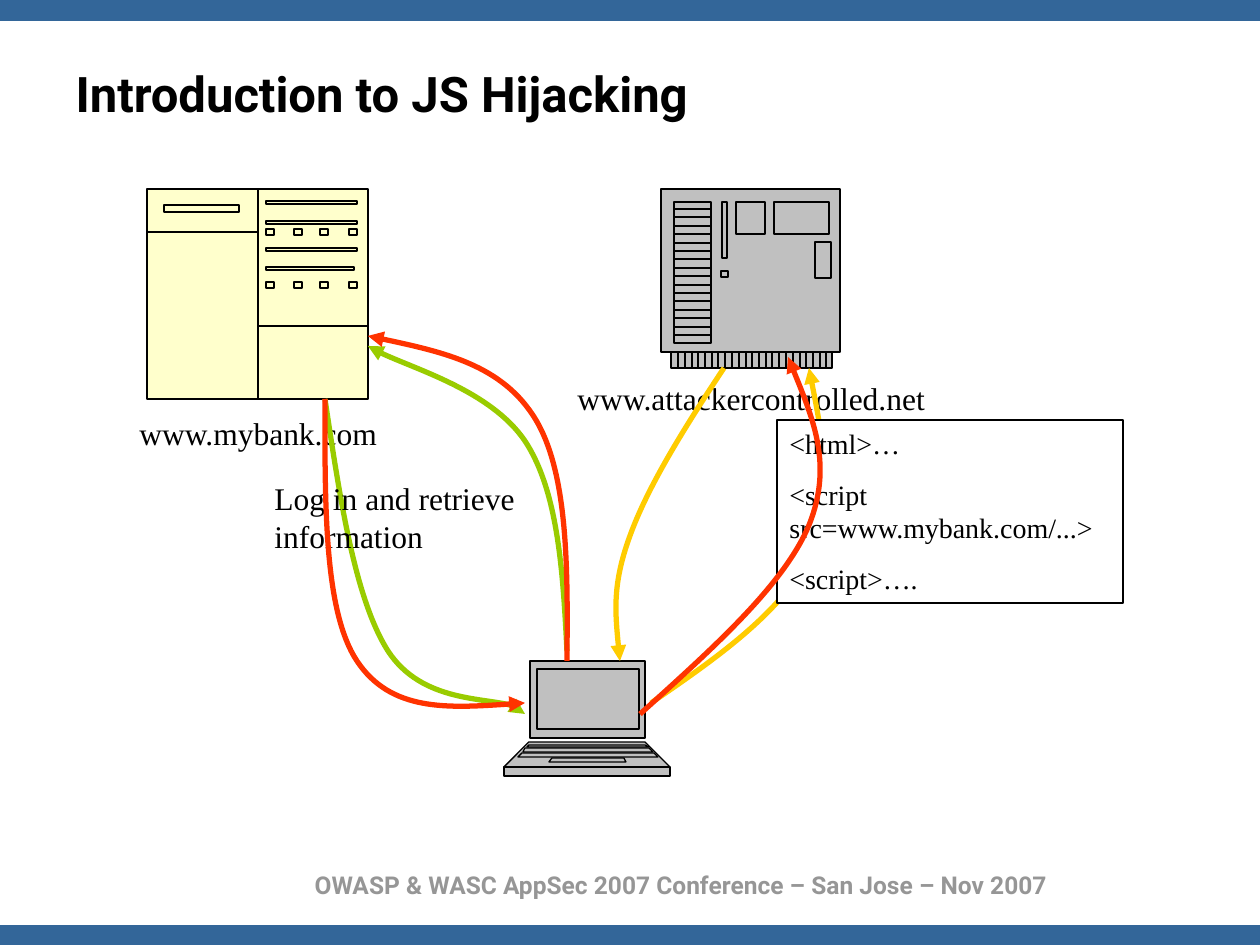
from lxml import etree
from pptx import Presentation
from pptx import util as u
from pptx.dml.color import RGBColor
from pptx.enum import shapes, text
from pptx.oxml.ns import qn

PX = 914400 / 126
COLORS = {
    "bar": "336699", "footer": "969696", "black": "000000", "white": "FFFFFF",
    "gray": "C0C0C0", "cream": "FFFFCC",
    "green": "99CC00", "yellow": "FFCC00", "red": "FF3300",
}
SERIF, SANS = "Times New Roman", "Roboto"

# Content: text and its place (left, top, width, height)
TITLE = ("Introduction to JS Hijacking", (63, 38, 1134, 110))
FOOTER = ("OWASP & WASC AppSec 2007 Conference – San Jose – Nov 2007", (242, 864, 878, 43))
BARS = [(0, 0, 1260, 21), (0, 925, 1260, 21)]
LABELS = [
    ("www.mybank.com", (127, 408, 300, 48)),
    ("www.attackercontrolled.net", (565, 373, 420, 48)),
]
LOGIN = ("Log in and retrieve information", (262, 473, 284, 88))
CODE = (["<html>…", "<script src=www.mybank.com/...>", "<script>…."], (777, 420, 346, 183))

# Flows: start point, then two cubic segments of three points each
LOGIN_FLOWS = [
    [(567, 651), (563, 571), (558, 491), (525, 441), (491, 391), (392, 362), (368, 346)],
    [(325, 399), (340, 499), (355, 599), (388, 651), (422, 703), (522, 697), (525, 714)],
]
ATTACKER_FLOWS = [
    [(651, 703), (717, 658), (782, 612), (809, 557), (835, 501), (822, 433), (809, 368)],
    [(724, 368), (685, 427), (648, 486), (630, 536), (612, 585), (616, 622), (620, 661)],
]
HIJACK_FLOWS = [
    [(567, 661), (568, 568), (568, 474), (536, 420), (503, 365), (435, 350), (368, 336)],
    [(325, 399), (325, 505), (324, 611), (357, 661), (391, 712), (457, 708), (525, 703)],
    [(640, 714), (712, 649), (784, 585), (809, 525), (833, 465), (810, 411), (788, 357)],
]


def quad(top, top_left, top_right, bottom, bottom_left, bottom_right):
    return [(top_left, top), (top_right, top), (bottom_right, bottom), (bottom_left, bottom)]


def rect(left, top, right, bottom):
    return quad(top, left, right, bottom, left, right)


# Icons as lists of contours; the first ones are the bodies
LAPTOP = [
    rect(530, 661, 645, 738),
    quad(742, 529, 645, 767, 504, 670),
    rect(504, 767, 670, 776),
    rect(537, 669, 639, 729),
    quad(745, 529, 645, 747, 527, 649),
    quad(758, 552, 624, 762, 549, 626),
    quad(748, 525, 649, 752, 523, 653),
    quad(753, 522, 654, 757, 518, 658),
]
SERVER = [
    rect(147, 189, 368, 399),
    [(147, 232), (258, 232)], [(258, 189), (258, 399)], [(258, 326), (368, 326)],
    rect(164, 205, 239, 212),
    *[rect(266, top, right, top + 3)
      for top, right in [(201, 357), (221, 357), (248, 357), (267, 354)]],
    *[rect(left, top, left + 8, top + 6) for top in (229, 282) for left in (266, 294, 320, 349)],
]
BOARD = [
    [(661, 189), (840, 189), (840, 352), (832, 352),
     (832, 368), (671, 368), (671, 352), (661, 352)],
    [(671, 352), (832, 352)],
    rect(674, 202, 711, 343),
    *[[(674, 209 + 8.4 * i), (711, 209 + 8.4 * i)] for i in range(16)],
    *[[(678 + 6.75 * i, 352), (678 + 6.75 * i, 368)] for i in range(23)],
    rect(722, 202, 727, 258), rect(721, 271, 728, 277),
    rect(736, 202, 765, 234), rect(774, 202, 829, 234), rect(815, 242, 831, 278),
]


def color(name):
    return RGBColor.from_string(COLORS[name])


def emu(place):
    return [u.Emu(round(value * PX)) for value in place]


def style(shape, fill=None, line=None, width=0.75):
    shape.shadow.inherit = False
    if fill:
        shape.fill.solid()
        shape.fill.fore_color.rgb = color(fill)
    else:
        shape.fill.background()
    if line:
        shape.line.color.rgb = color(line)
        shape.line.width = u.Pt(width)
    else:
        shape.line.fill.background()
    return shape


def write(box, paragraphs, size=18, font=SERIF, ink="black", bold=False,
          align=text.PP_ALIGN.LEFT, anchor=text.MSO_ANCHOR.TOP, gap=0):
    frame = box.text_frame
    frame.word_wrap = True
    frame.vertical_anchor = anchor
    for i, words in enumerate(paragraphs):
        para = frame.add_paragraph() if i else frame.paragraphs[0]
        para.alignment = align
        para.space_before = u.Pt(gap if i else 0)
        span = para.add_run()
        span.text = words
        span.font.size, span.font.name, span.font.bold = u.Pt(size), font, bold
        span.font.color.rgb = color(ink)


def add_text(page, words, place, **form):
    write(page.shapes.add_textbox(*emu(place)), [words], **form)


def add_block(page, place, **look):
    return style(page.shapes.add_shape(shapes.MSO_SHAPE.RECTANGLE, *emu(place)), **look)


def add_icon(page, contours, fill):
    builder = page.shapes.build_freeform(*contours[0][0], scale=PX)
    for i, points in enumerate(contours):
        if i:
            builder.move_to(*points[0])
        builder.add_line_segments(points[1:], close=len(points) > 2)
    shape = style(builder.convert_to_shape(), fill, "black")
    # Give each contour its own outline, so that overlaps leave no holes
    whole = shape.element.find(".//" + qn("a:path"))
    outlines = whole.getparent()
    for step in list(whole):
        if step.tag == qn("a:moveTo"):
            part = etree.SubElement(outlines, qn("a:path"), dict(whole.attrib))
        part.append(step)
    outlines.remove(whole)


def add_flow(page, points, ink):
    builder = page.shapes.build_freeform(*points[0], scale=PX)
    builder.add_line_segments(points[1:], close=False)
    shape = style(builder.convert_to_shape(), None, ink, 3)
    # Turn every three line steps into one cubic curve
    outline = shape.element.find(".//" + qn("a:path"))
    steps = outline.findall(qn("a:lnTo"))
    for i in range(0, len(steps), 3):
        curve = etree.SubElement(outline, qn("a:cubicBezTo"))
        for step in steps[i:i + 3]:
            curve.append(step[0])
            outline.remove(step)
    line = shape.element.spPr.find(qn("a:ln"))
    etree.SubElement(line, qn("a:tailEnd"), type="triangle")


def main():
    deck = Presentation()
    deck.slide_width, deck.slide_height = u.Inches(10), u.Inches(7.5)
    page = deck.slides.add_slide(deck.slide_layouts[5])

    # Frame: bars, footer and title
    for place in BARS:
        add_block(page, place, fill="bar")
    add_text(page, *FOOTER, size=14, font=SANS, ink="footer", bold=True,
             align=text.PP_ALIGN.CENTER)
    title = page.shapes.title
    title.left, title.top, title.width, title.height = emu(TITLE[1])
    write(title, [TITLE[0]], size=28, font=SANS, bold=True, anchor=text.MSO_ANCHOR.MIDDLE)

    # Machines and their addresses
    for contours, fill in [(LAPTOP, "gray"), (SERVER, "cream"), (BOARD, "gray")]:
        add_icon(page, contours, fill)
    for words, place in LABELS:
        add_text(page, words, place)

    # Flows, with the texts between them
    for points in LOGIN_FLOWS:
        add_flow(page, points, "green")
    add_text(page, *LOGIN)
    for points in ATTACKER_FLOWS:
        add_flow(page, points, "yellow")
    lines, place = CODE
    write(add_block(page, place, fill="white", line="black"), lines, size=16, gap=10)
    for points in HIJACK_FLOWS:
        add_flow(page, points, "red")

    deck.save("out.pptx")


if __name__ == "__main__":
    main()
